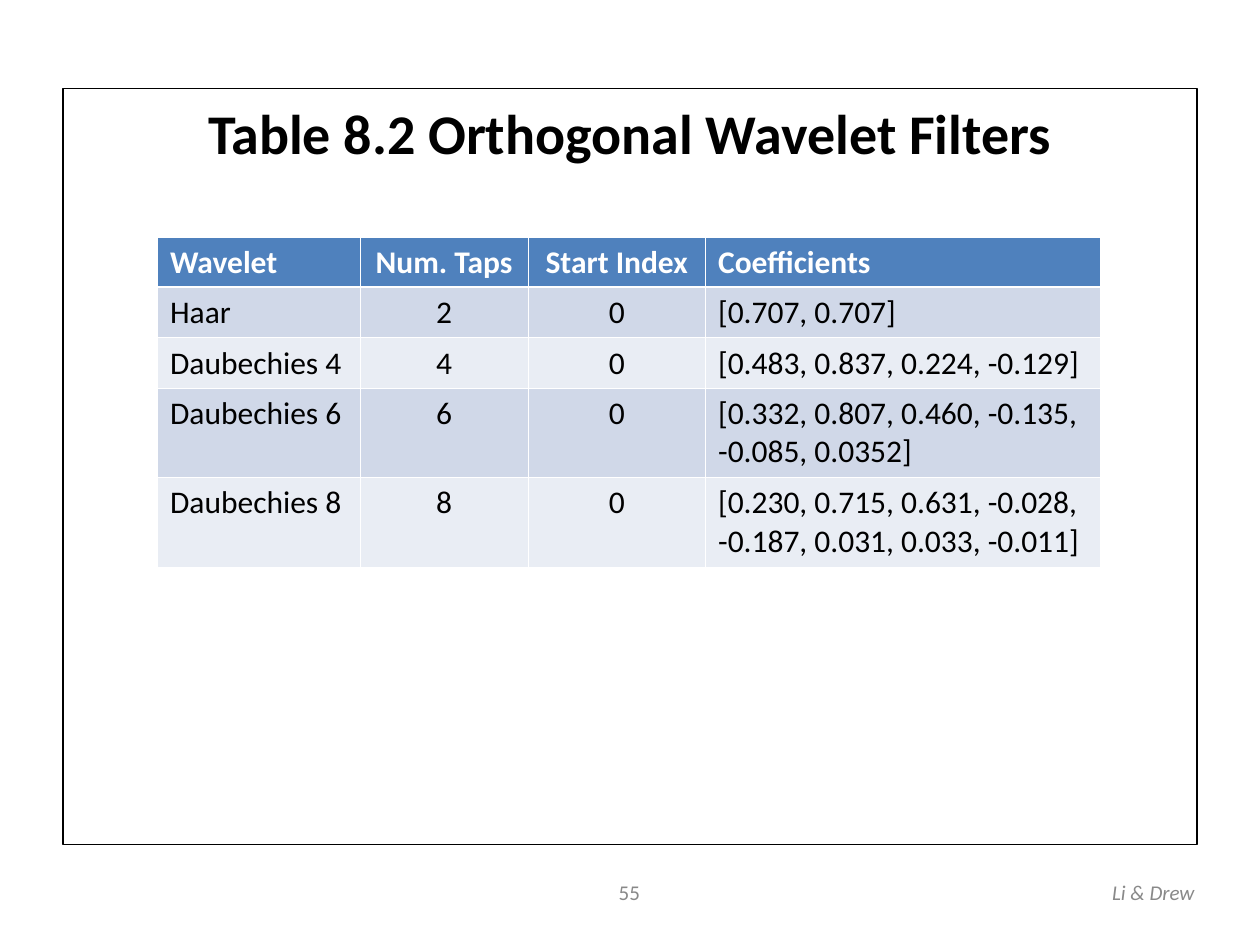
from lxml import etree
from pptx import Presentation
from pptx.dml.color import RGBColor
from pptx.enum.text import MSO_ANCHOR, MSO_AUTO_SIZE, PP_ALIGN
from pptx.oxml.ns import qn
from pptx.util import Inches, Pt

LEFT, MID, RIGHT = PP_ALIGN.LEFT, PP_ALIGN.CENTER, PP_ALIGN.RIGHT
TOP, MIDDLE = MSO_ANCHOR.TOP, MSO_ANCHOR.MIDDLE
NO_FIT = MSO_AUTO_SIZE.NONE

BLACK = RGBColor(0x00, 0x00, 0x00)
WHITE = RGBColor(0xFF, 0xFF, 0xFF)
GRAY = RGBColor(0x89, 0x89, 0x89)
BLUE = RGBColor(0x4F, 0x81, 0xBD)
BANDS = RGBColor(0xD0, 0xD8, 0xE8), RGBColor(0xE9, 0xED, 0xF4)

FONT = "Calibri"
THIN, THICK = 0.45, 1.47

COLS = [1.61, 1.33, 1.41, 3.13]
ALIGNS = [LEFT, MID, MID, LEFT]
ROWS = [
    ("Wavelet", "Num. Taps", "Start Index", "Coefficients"),
    ("Haar", "2", "0", "[0.707, 0.707]"),
    ("Daubechies 4", "4", "0", "[0.483, 0.837, 0.224, -0.129]"),
    ("Daubechies 6", "6", "0",
     "[0.332, 0.807, 0.460, -0.135,\n-0.085, 0.0352]"),
    ("Daubechies 8", "8", "0",
     "[0.230, 0.715, 0.631, -0.028,\n-0.187, 0.031, 0.033, -0.011]"),
]


def write(frame, text, align, color, **form):
    """Fill a text frame, one paragraph per line of text."""
    frame.text = text
    for para in frame.paragraphs:
        para.alignment = align
        para.font.color.rgb = color
        for key, value in {"name": FONT, **form}.items():
            setattr(para.font, key, value)


def add_title(slide, box, text):
    """Framed title that also encloses the body of the slide."""
    title = slide.shapes.title
    title.left, title.top, title.width, title.height = map(Inches, box)
    title.fill.solid()
    title.fill.fore_color.rgb = WHITE
    title.line.color.rgb = BLACK
    title.line.width = Pt(0.75)
    frame = title.text_frame
    frame.auto_size = NO_FIT
    frame.vertical_anchor = TOP
    frame.margin_top = Inches(0.08)
    write(frame, text, MID, BLACK, size=Pt(32), bold=True)


def add_note(slide, box, text, align, italic=False):
    """Small grey text in the footer."""
    frame = slide.shapes.add_textbox(*map(Inches, box)).text_frame
    frame.word_wrap = True
    frame.vertical_anchor = MIDDLE
    write(frame, text, align, GRAY, size=Pt(12), italic=italic)


def add_edge(cell, side, width):
    """White border on one side of a cell."""
    props = cell._tc.get_or_add_tcPr()
    line = etree.SubElement(props, qn("a:ln" + side), w=str(Pt(width)))
    fill = etree.SubElement(line, qn("a:solidFill"))
    etree.SubElement(fill, qn("a:srgbClr"), val=str(WHITE))


def add_grid(slide, box):
    """Table of filters with a blue head and banded rows."""
    shape = slide.shapes.add_table(len(ROWS), len(COLS), *map(Inches, box))
    table = shape.table
    for col, width in zip(table.columns, COLS):
        col.width = Inches(width)
    for i, texts in enumerate(ROWS):
        head = i == 0
        tall = any("\n" in text for text in texts)
        table.rows[i].height = Inches(0.71 if tall else 0.4)
        edges = {"L": THIN, "R": THIN,
                 "T": THICK if i == 1 else THIN,
                 "B": THICK if head else THIN}
        for j, text in enumerate(texts):
            cell = table.cell(i, j)
            for side, width in edges.items():
                add_edge(cell, side, width)
            cell.fill.solid()
            cell.fill.fore_color.rgb = BLUE if head else BANDS[(i - 1) % 2]
            write(cell.text_frame, text, ALIGNS[j],
                  WHITE if head else BLACK, size=Pt(18), bold=head)


def main():
    deck = Presentation()
    deck.slide_width, deck.slide_height = Inches(10), Inches(7.5)
    slide = deck.slides.add_slide(deck.slide_layouts[5])
    add_title(slide, (0.5, 0.7, 9, 6), "Table 8.2 Orthogonal Wavelet Filters")
    add_note(slide, (6.41, 6.88, 3.17, 0.4), "Li & Drew", RIGHT, italic=True)
    add_note(slide, (3.83, 6.88, 2.33, 0.4), "55", MID)
    add_grid(slide, (1.25, 1.88, 7.48, 2.62))
    deck.save("out.pptx")


if __name__ == "__main__":
    main()
